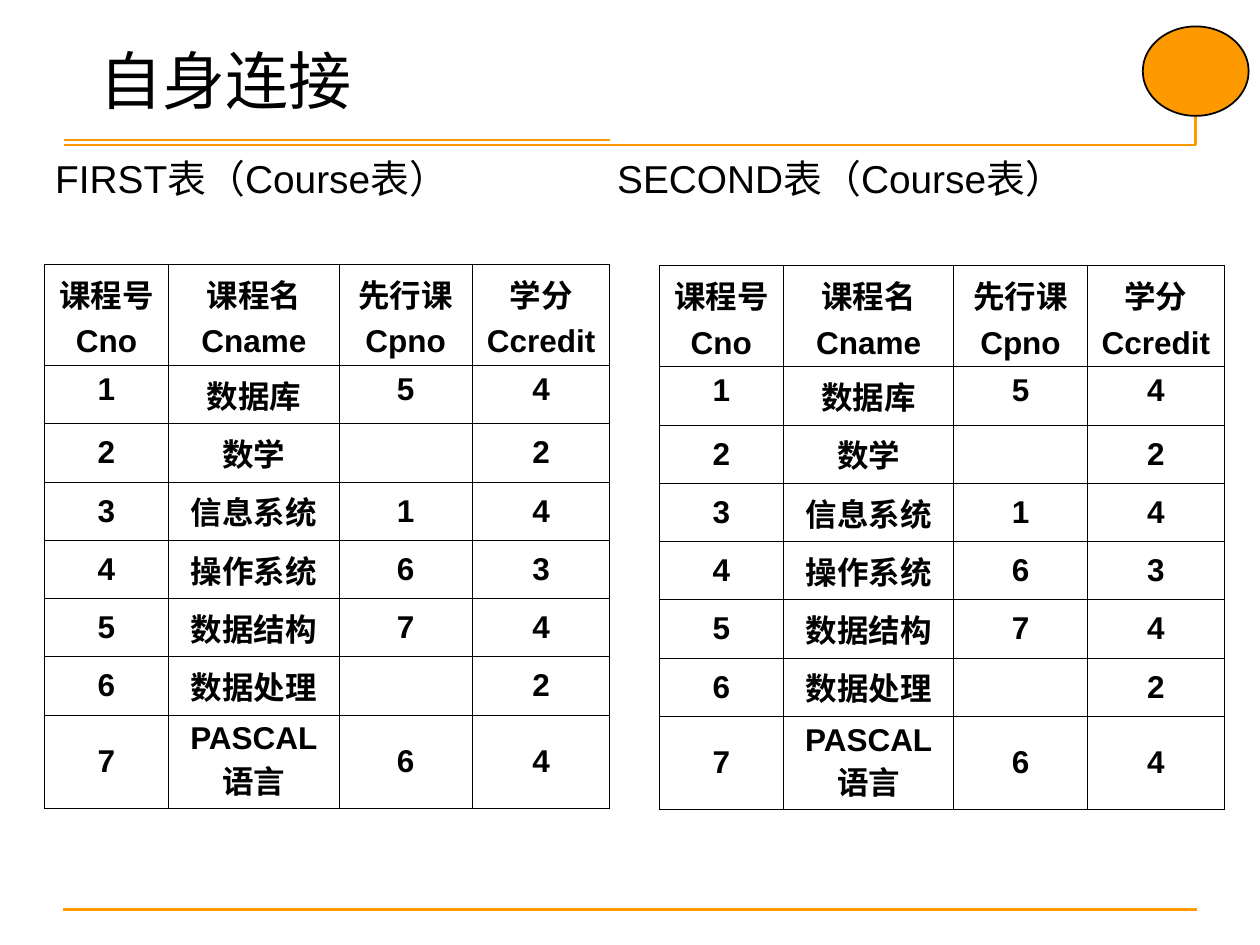
from lxml import etree
from pptx import Presentation
from pptx.dml.color import RGBColor
from pptx.enum.shapes import MSO_CONNECTOR, MSO_SHAPE
from pptx.enum.text import MSO_ANCHOR, PP_ALIGN
from pptx.oxml.ns import qn
from pptx.util import Inches, Pt

STRAIGHT = MSO_CONNECTOR.STRAIGHT
OVAL = MSO_SHAPE.OVAL
TOP, MIDDLE = MSO_ANCHOR.TOP, MSO_ANCHOR.MIDDLE
LEFT, CENTER = PP_ALIGN.LEFT, PP_ALIGN.CENTER

WIDTH, HEIGHT = Inches(10), Inches(7.5)
BLACK, ORANGE = "000000", "FF9900"

COLUMN_SHARES = [9.9, 13.5, 10.6, 10.9]
ROW_SHARES = [10.67] + [6.17] * 6 + [9.87]
COURSES = [
    ["课程号\nCno", "课程名\nCname", "先行课\nCpno", "学分\nCcredit"],
    ["1", "数据库", "5", "4"],
    ["2", "数学", "", "2"],
    ["3", "信息系统", "1", "4"],
    ["4", "操作系统", "6", "3"],
    ["5", "数据结构", "7", "4"],
    ["6", "数据处理", "", "2"],
    ["7", "PASCAL语言", "6", "4"],
]
RULES = [
    (5, 96.27, 95, 96.27),
    (5.1, 15.33, 94.9, 15.33),
    (94.9, 3.73, 94.9, 15.33),
    (5.1, 14.8, 48.4, 14.8),
]


def across(share):
    return round(WIDTH * share / 100)


def down(share):
    return round(HEIGHT * share / 100)


def place(left, top, width, height):
    return across(left), down(top), across(width), down(height)


def color(hex_code):
    return RGBColor.from_string(hex_code)


def write(frame, text, size=18, font="Arial", ink=BLACK, bold=False,
          align=LEFT, gap=0):
    frame.word_wrap = True
    for index, line in enumerate(text.split("\n")):
        paragraph = frame.add_paragraph() if index else frame.paragraphs[0]
        paragraph.alignment = align
        if index:
            paragraph.space_before = Pt(gap)
        paragraph.font.size = Pt(size)
        if line:
            run = paragraph.add_run()
            run.text = line
            run.font.size = Pt(size)
            run.font.name = font
            run.font.bold = bold
            run.font.color.rgb = color(ink)


def add_label(slide, box, text, **style):
    write(slide.shapes.add_textbox(*place(*box)).text_frame, text, **style)


def add_rule(slide, x1, y1, x2, y2):
    rule = slide.shapes.add_connector(
        STRAIGHT, across(x1), down(y1), across(x2), down(y2))
    rule.line.color.rgb = color(ORANGE)
    rule.line.width = Pt(1.5)
    etree.SubElement(rule._element.spPr, qn("a:effectLst"))


def add_corner_dot(slide, box):
    dot = slide.shapes.add_shape(OVAL, *place(*box))
    dot.shadow.inherit = False
    dot.fill.solid()
    dot.fill.fore_color.rgb = color(ORANGE)
    dot.line.color.rgb = color(BLACK)
    dot.line.width = Pt(1)


def outline_cell(cell):
    properties = cell._tc.get_or_add_tcPr()
    for side in ("a:lnL", "a:lnR", "a:lnT", "a:lnB"):
        edge = etree.SubElement(properties, qn(side), w=str(Pt(0.45)))
        paint = etree.SubElement(edge, qn("a:solidFill"))
        etree.SubElement(paint, qn("a:srgbClr"), val=BLACK)


def add_course_table(slide, left, top):
    box = place(left, top, sum(COLUMN_SHARES), sum(ROW_SHARES))
    table = slide.shapes.add_table(len(COURSES), len(COLUMN_SHARES), *box).table
    table.first_row = table.horz_banding = False
    for column, share in zip(table.columns, COLUMN_SHARES):
        column.width = across(share)
    for row, share in zip(table.rows, ROW_SHARES):
        row.height = down(share)
    for r, course in enumerate(COURSES):
        for c, value in enumerate(course):
            cell = table.cell(r, c)
            outline_cell(cell)
            cell.fill.background()
            write(cell.text_frame, value, bold=True, align=CENTER, gap=4.5)
            cell.vertical_anchor = TOP if r < 2 else MIDDLE


def main():
    deck = Presentation()
    deck.slide_width, deck.slide_height = WIDTH, HEIGHT
    slide = deck.slides.add_slide(deck.slide_layouts[6])
    for rule in RULES:
        add_rule(slide, *rule)
    add_corner_dot(slide, (90.7, 2.8, 8.4, 9.47))
    add_label(slide, (6.9, 3.73, 80, 16.53), "自身连接",
              size=36, font="Times New Roman")
    add_label(slide, (3.4, 15.73, 44, 9.47), "FIRST表（Course表）", size=22.2)
    add_label(slide, (48, 15.73, 44, 9.47), "SECOND表（Course表）", size=22.2)
    add_course_table(slide, 3.5, 28)
    add_course_table(slide, 52.3, 28.13)
    deck.save("out.pptx")


if __name__ == "__main__":
    main()
